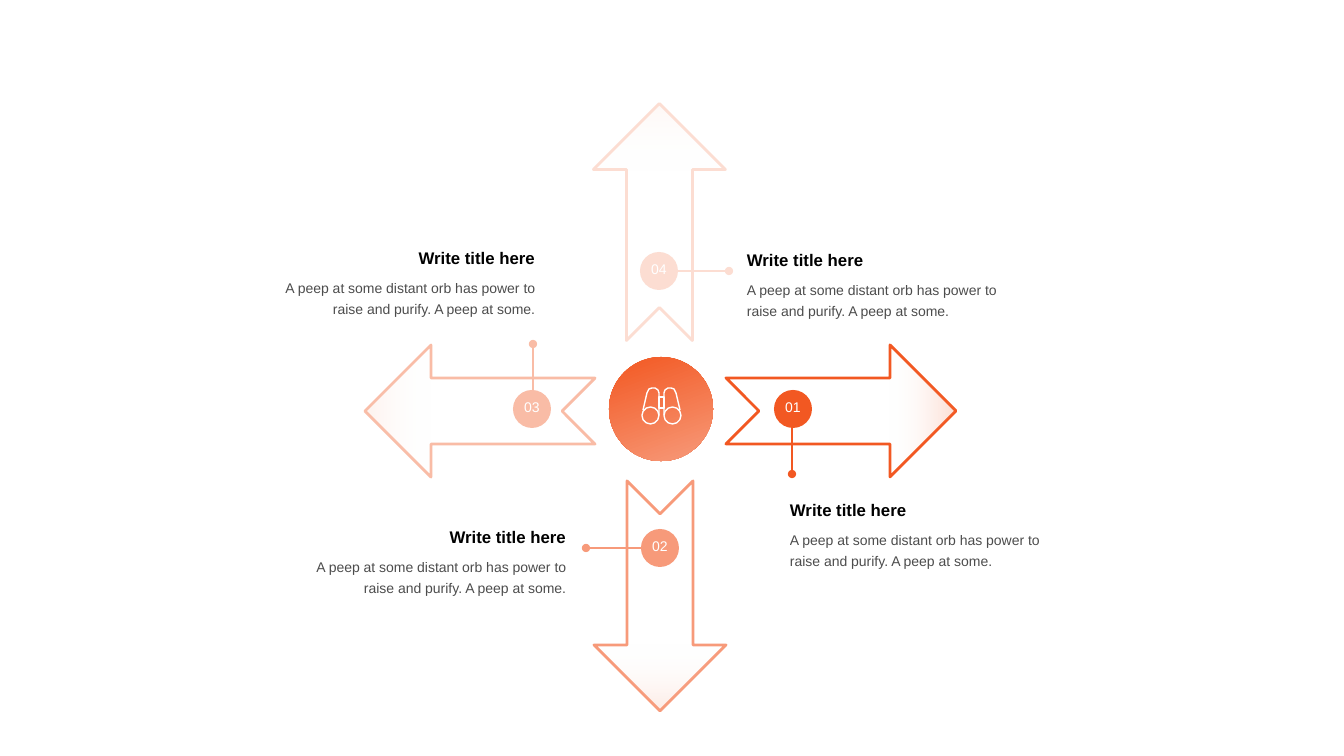
from dataclasses import dataclass
from lxml import etree
from pptx import Presentation
from pptx.dml.color import RGBColor
from pptx.enum.shapes import MSO_CONNECTOR, MSO_SHAPE
from pptx.enum.text import MSO_ANCHOR, MSO_AUTO_SIZE, PP_ALIGN
from pptx.oxml.ns import qn
from pptx.util import Pt

PX = 914400 / 100.8
ARROW = MSO_SHAPE.NOTCHED_RIGHT_ARROW
OVAL = MSO_SHAPE.OVAL
TRIANGLE = MSO_SHAPE.ISOSCELES_TRIANGLE
RECTANGLE = MSO_SHAPE.RECTANGLE
STRAIGHT = MSO_CONNECTOR.STRAIGHT
LEFT, CENTER, RIGHT = PP_ALIGN.LEFT, PP_ALIGN.CENTER, PP_ALIGN.RIGHT
MIDDLE = MSO_ANCHOR.MIDDLE
GROW = MSO_AUTO_SIZE.SHAPE_TO_FIT_TEXT

FONT = "Arial"
WHITE, BLACK, ORANGE, SALMON = "FFFFFF", "000000", "F25822", "F79A7A"
TITLE = "Write title here"
BODY = "A peep at some distant orb has power to raise and purify. A peep at some."
BADGE_SIZE = 38
ARROW_HEIGHT = 132
TIP_WIDTH, TIP_HEIGHT = 132, 66
TEXT_WIDTH, TEXT_HEIGHT = 262, 84
ICON_AXIS_DOUBLED = 1323
BARREL = [(643, 410), (647, 393), (649, 389), (652, 388), (655, 388),
          (658, 390), (659, 393), (659, 415)]
LENS = (642, 407, 17, 17)
BRIDGE = (659, 397, 5, 11)


@dataclass(frozen=True)
class Direction:
    number: str
    color: str
    rotation: int
    arrow: tuple[int, int, int]
    tip: tuple[int, int]
    badge: tuple[int, int]
    leader: tuple[int, int, int, int]
    text: tuple[int, int]
    alignment: PP_ALIGN


DIRECTIONS = [
    Direction("02", SALMON, 90, (545, 530, 230), (594, 644), (641, 529),
              (641, 548, 586, 548), (304, 518), RIGHT),
    Direction("04", "FCDDD2", 270, (541, 156, 237), (594, 105), (640, 252),
              (673, 271, 729, 271), (747, 241), LEFT),
    Direction("01", ORANGE, 0, (726, 345, 230), (855, 378), (774, 390),
              (792, 426, 792, 474), (790, 491), LEFT),
    Direction("03", "F9BCA6", 180, (365, 345, 230), (332, 378), (513, 390),
              (533, 391, 533, 344), (273, 239), RIGHT),
]


def emu(*lengths: int) -> list[int]:
    return [round(length * PX) for length in lengths]


def rgb(color: str) -> RGBColor:
    return RGBColor.from_string(color)


def style(shape, fill: str | None = None, line: str | None = None, width: float = 1) -> None:
    shape.shadow.inherit = False
    if fill:
        shape.fill.solid()
        shape.fill.fore_color.rgb = rgb(fill)
    else:
        shape.fill.background()
    if line:
        shape.line.color.rgb = rgb(line)
        shape.line.width = Pt(width)
    else:
        shape.line.fill.background()


def add_shape(slide, kind, box: tuple[int, int, int, int], fill: str | None = None,
              line: str | None = None, width: float = 1):
    shape = slide.shapes.add_shape(kind, *emu(*box))
    style(shape, fill, line, width)
    return shape


def set_alpha(color_element, percent: int) -> None:
    etree.SubElement(color_element, qn("a:alpha")).set("val", str(percent * 1000))


def set_gradient(shape, colors: tuple[str, str], angle: int,
                 alphas: tuple[int, int] = (100, 100)) -> None:
    shape.fill.gradient()
    shape.fill.gradient_angle = 360 - angle
    for stop, color in zip(shape.fill.gradient_stops, colors):
        stop.color.rgb = rgb(color)
    for element, alpha in zip(shape.element.iter(qn("a:srgbClr")), alphas):
        set_alpha(element, alpha)


def add_run(paragraph, text: str, size: int, color: str, bold: bool = False,
            alpha: int = 100) -> None:
    run = paragraph.add_run()
    run.text = text
    run.font.name = FONT
    run.font.size = Pt(size)
    run.font.bold = bold
    run.font.color.rgb = rgb(color)
    if alpha < 100:
        set_alpha(next(run.font._element.iter(qn("a:srgbClr"))), alpha)


def add_badge(slide, direction: Direction) -> None:
    shape = add_shape(slide, OVAL, (*direction.badge, BADGE_SIZE, BADGE_SIZE), direction.color)
    frame = shape.text_frame
    frame.margin_left = frame.margin_right = frame.margin_top = frame.margin_bottom = 0
    frame.vertical_anchor = MIDDLE
    paragraph = frame.paragraphs[0]
    paragraph.alignment = CENTER
    paragraph.line_spacing = 0.8
    add_run(paragraph, direction.number, 10, WHITE)


def add_arrow(slide, direction: Direction) -> None:
    arrow = add_shape(slide, ARROW, (*direction.arrow, ARROW_HEIGHT), WHITE, direction.color, 2)
    arrow.rotation = direction.rotation
    tip = add_shape(slide, TRIANGLE, (*direction.tip, TIP_WIDTH, TIP_HEIGHT))
    tip.rotation = (direction.rotation + 90) % 360
    set_gradient(tip, (direction.color, WHITE), 90, (20, 0))


def add_caption(slide, direction: Direction) -> None:
    box = slide.shapes.add_textbox(*emu(*direction.text, TEXT_WIDTH, TEXT_HEIGHT))
    frame = box.text_frame
    frame.word_wrap = True
    frame.auto_size = GROW
    frame.margin_left = frame.margin_right = 0
    title, body = frame.paragraphs[0], frame.add_paragraph()
    for paragraph in (title, body):
        paragraph.alignment = direction.alignment
        paragraph.line_spacing = 1.2
    body.space_before = Pt(6)
    add_run(title, TITLE, 12, BLACK, bold=True)
    add_run(body, BODY, 10, BLACK, alpha=70)


def add_leader(slide, direction: Direction) -> None:
    connector = slide.shapes.add_connector(STRAIGHT, *emu(*direction.leader))
    connector.line.color.rgb = rgb(direction.color)
    connector.line.width = Pt(1)
    line = connector.line._get_or_add_ln()
    etree.SubElement(line, qn("a:tailEnd")).set("type", "oval")
    etree.SubElement(connector.element.spPr, qn("a:effectLst"))


def add_binoculars(slide) -> None:
    left, top, width, height = LENS
    mirrored_barrel = [(ICON_AXIS_DOUBLED - x, y) for x, y in BARREL]
    for points in (BARREL, mirrored_barrel):
        builder = slide.shapes.build_freeform(*points[0], scale=PX)
        builder.add_line_segments(points[1:], close=False)
        style(builder.convert_to_shape(), line=WHITE)
    for lens_left in (left, ICON_AXIS_DOUBLED - left - width):
        add_shape(slide, OVAL, (lens_left, top, width, height), line=WHITE)
    add_shape(slide, RECTANGLE, BRIDGE, line=WHITE)


def main() -> None:
    presentation = Presentation()
    presentation.slide_width, presentation.slide_height = emu(1344, 756)
    slide = presentation.slides.add_slide(presentation.slide_layouts[6])
    hub = add_shape(slide, OVAL, (609, 357, 104, 104))
    set_gradient(hub, (ORANGE, SALMON), 70)
    for direction in DIRECTIONS:
        add_arrow(slide, direction)
        add_badge(slide, direction)
    for direction in DIRECTIONS:
        add_caption(slide, direction)
        add_leader(slide, direction)
    add_binoculars(slide)
    presentation.save("out.pptx")


if __name__ == "__main__":
    main()
